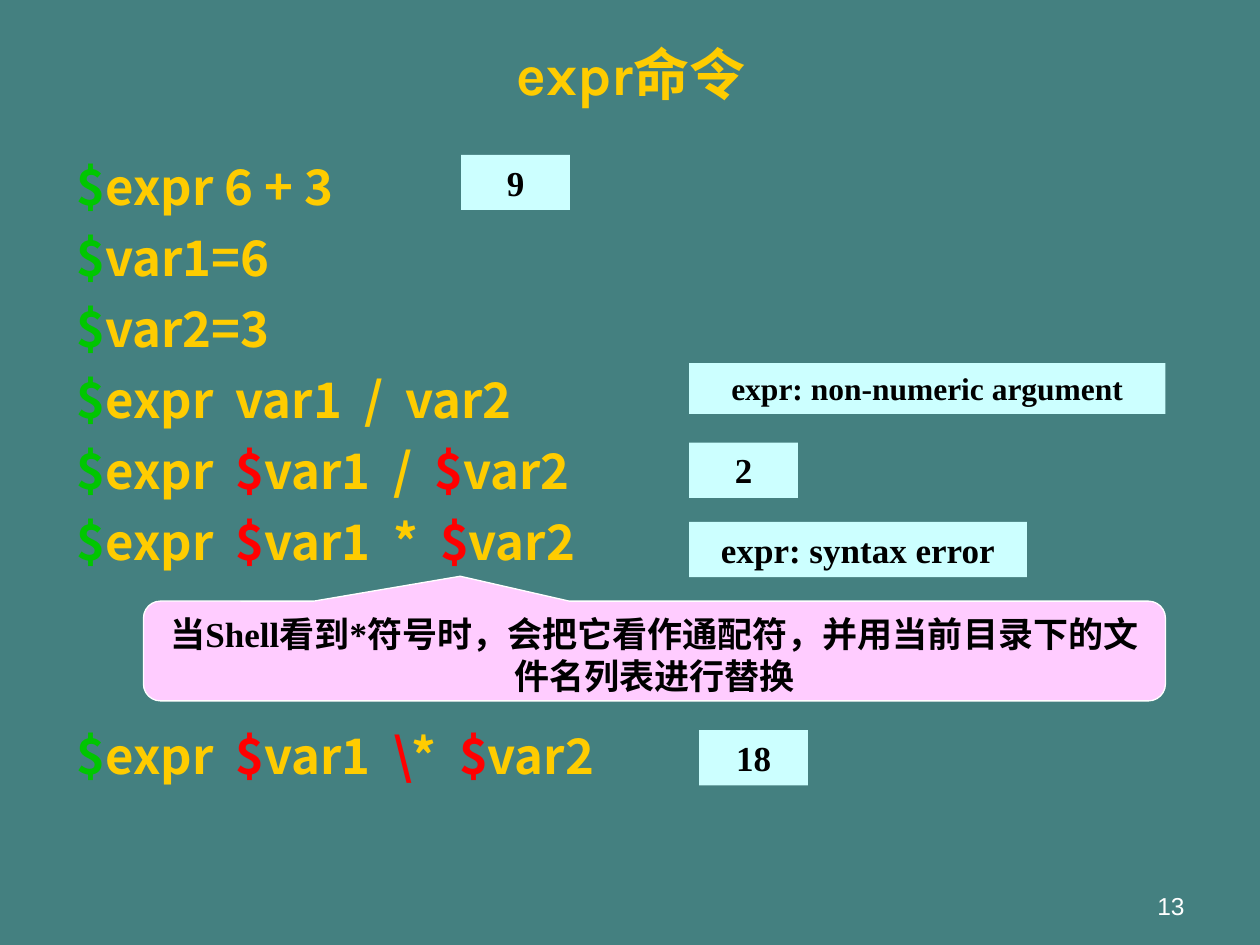
"""Build the slide on the expr command."""
from itertools import groupby

from pptx import Presentation
from pptx.dml.color import RGBColor
from pptx.enum.shapes import MSO_SHAPE as SHAPE
from pptx.enum.text import MSO_ANCHOR as ANCHOR, MSO_AUTO_SIZE as AUTO, PP_ALIGN as ALIGN
from pptx.oxml.xmlchemy import OxmlElement
from pptx.util import Pt


def rgb(value):
    return RGBColor.from_string(value)


def set_text(sp, text, size, font, color, bold=True, align=ALIGN.CENTER, anchor=ANCHOR.TOP):
    tf = sp.text_frame
    tf.word_wrap = True
    tf.vertical_anchor = anchor
    p = tf.paragraphs[0]
    p.text = text
    p.alignment = align
    p.font.size = Pt(size)
    p.font.name = font
    p.font.bold = bold
    p.font.color.rgb = rgb(color)
    ea = OxmlElement("a:ea")
    ea.set("typeface", "Noto Sans CJK SC")
    p.font._element.find("{*}latin").addnext(ea)


prs = Presentation()
prs.slide_width, prs.slide_height = Pt(720), Pt(540)
s = prs.slides.add_slide(prs.slide_layouts[6])
s.background.fill.solid()
s.background.fill.fore_color.rgb = rgb("448080")

number = s.shapes.add_textbox(Pt(516), Pt(492), Pt(168), Pt(37.5))
set_text(number, "13", 14, "Arial", "FFFFFF", False, ALIGN.RIGHT, ANCHOR.BOTTOM)

title = s.shapes.add_textbox(Pt(36.75), Pt(20), Pt(648), Pt(43.5))
set_text(title, "expr命令", 32, "Karla", "FFCC00", anchor=ANCHOR.MIDDLE)

commands = [
    "$expr 6 + 3",
    "$var1=6",
    "$var2=3",
    "$expr  var1  /  var2",
    "$expr  $var1  /  $var2",
    "$expr  $var1  *  $var2",
    "$expr  $var1  \\*  $var2",
]
line, gap = 36.7, 3.9
body = s.shapes.add_textbox(Pt(36.75), Pt(82.75), Pt(636), Pt(414))
tf = body.text_frame
tf.word_wrap = True
for i, command in enumerate(commands):
    p = tf.paragraphs[0] if i == 0 else tf.add_paragraph()
    p.line_spacing = Pt(line)
    if i:
        p.space_before = Pt(gap)
    p.font.size = Pt(28)
    p.font.name = "Noto Sans CJK SC"
    p.font.bold = True
    prompt = p.add_run()
    prompt.text = command[0]
    prompt.font.color.rgb = rgb("00C600")
    for special, chars in groupby(command[1:], lambda c: c in "$\\"):
        r = p.add_run()
        r.text = "".join(chars)
        r.font.color.rgb = rgb("FF0000" if special else "FFCC00")
p.space_before = Pt(gap + 2 * (line + gap))

results = [
    ("9", 263.5, 88.5, 62.25, 31.5, 20),
    ("2", 393.75, 253, 62.25, 31.5, 20),
    ("expr: syntax error", 393.75, 298.25, 193, 31.5, 20),
    ("18", 399.5, 417.25, 62.25, 31.5, 20),
    ("expr: non-numeric argument", 393.75, 207.5, 272.25, 29, 18),
]
for text, x, y, w, h, size in results:
    sp = s.shapes.add_shape(SHAPE.RECTANGLE, Pt(x), Pt(y), Pt(w), Pt(h))
    sp.shadow.inherit = False
    sp.fill.solid()
    sp.fill.fore_color.rgb = rgb("CCFFFF")
    sp.line.fill.background()
    set_text(sp, text, size, "Times New Roman", "000000")
    sp.text_frame.auto_size = AUTO.SHAPE_TO_FIT_TEXT

note = s.shapes.add_shape(SHAPE.ROUNDED_RECTANGULAR_CALLOUT, Pt(82), Pt(343.5), Pt(584), Pt(57))
note.adjustments[0], note.adjustments[1], note.adjustments[2] = -0.19, -0.75, 0.17
note.shadow.inherit = False
note.fill.solid()
note.fill.fore_color.rgb = rgb("FFCCFF")
note.line.color.rgb = rgb("FFFFFF")
note.line.width = Pt(0.75)
set_text(note, "当Shell看到*符号时，会把它看作通配符，并用当前目录下的文件名列表进行替换",
         20, "Times New Roman", "000000")

prs.save("out.pptx")
